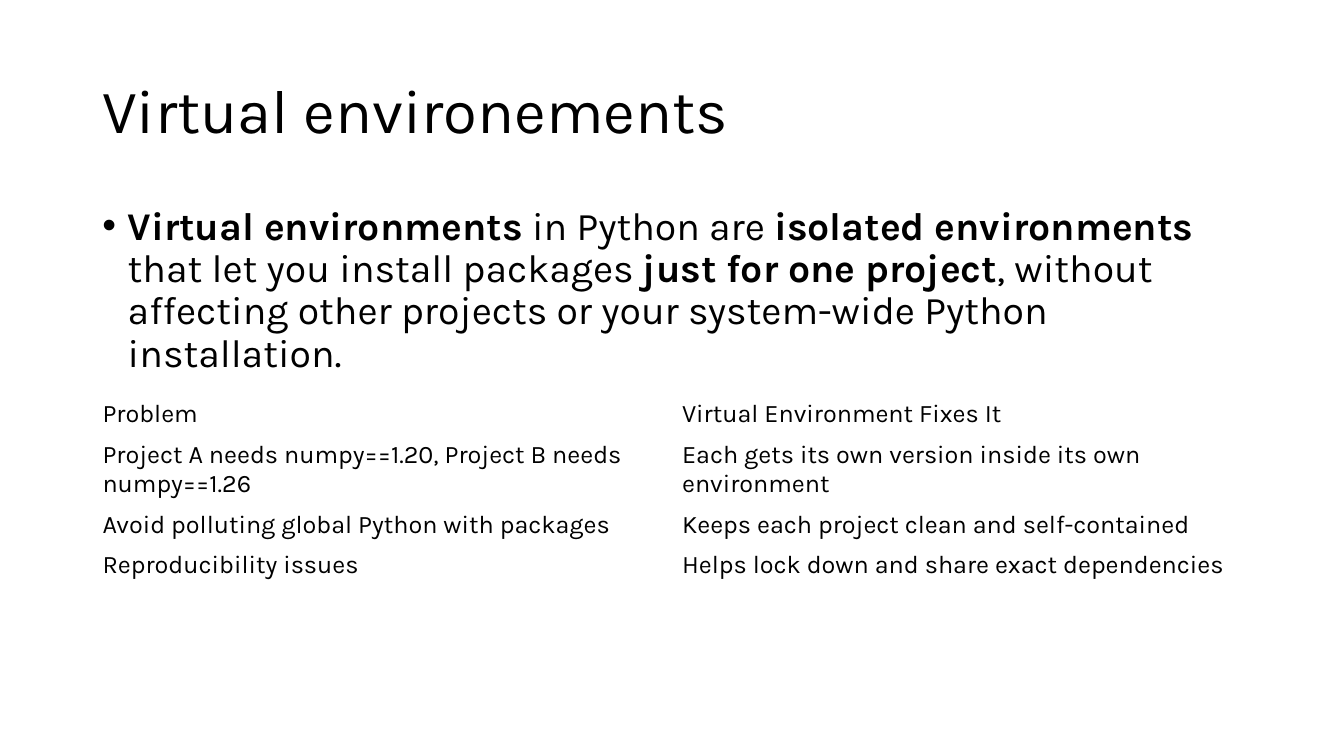
from pptx import Presentation
from pptx.dml.color import RGBColor
from pptx.enum.text import MSO_ANCHOR
from pptx.oxml import parse_xml
from pptx.oxml.ns import nsdecls
from pptx.util import Cm, Pt

TITLE = "Virtual environements"
DEFINITION = [
    ("Virtual environments", True),
    (" in Python are ", False),
    ("isolated environments", True),
    (" that let you install packages ", False),
    ("just for one project", True),
    (", without affecting other projects or your system-wide Python installation.", False),
]
FIXES = [
    ("Problem", "Virtual Environment Fixes It"),
    ("Project A needs numpy==1.20, Project B needs numpy==1.26",
     "Each gets its own version inside its own environment"),
    ("Avoid polluting global Python with packages",
     "Keeps each project clean and self-contained"),
    ("Reproducibility issues", "Helps lock down and share exact dependencies"),
]
ROW_HEIGHTS = [1, 1.76, 1, 1]

THEME = {
    "font": "Karla",
    "ink": RGBColor(0, 0, 0),
    "title": Pt(44),
    "body": Pt(28),
    "table": Pt(18),
}
LEFT, WIDTH = Cm(2.33), Cm(29.21)
INDENT = Cm(0.64)


def style(r, size, bold=False):
    r.font.name = THEME["font"]
    r.font.size = THEME[size]
    r.font.color.rgb = THEME["ink"]
    r.font.bold = bold


def add_text(slide, top, height, runs, size, anchor):
    tf = slide.shapes.add_textbox(LEFT, top, WIDTH, height).text_frame
    tf.word_wrap = True
    tf.vertical_anchor = anchor
    p = tf.paragraphs[0]
    p.line_spacing = 0.9
    for text, bold in runs:
        r = p.add_run()
        r.text = text
        style(r, size, bold)
    return p


def add_bullet(p):
    p.space_before = Pt(10)
    pPr = p._p.get_or_add_pPr()
    pPr.set("marL", str(INDENT))
    pPr.set("indent", str(-INDENT))
    pPr.append(parse_xml(f'<a:buFont {nsdecls("a")} typeface="Arial"/>'))
    pPr.append(parse_xml(f'<a:buChar {nsdecls("a")} char="•"/>'))


def add_fixes(slide, top):
    height = Cm(sum(ROW_HEIGHTS))
    table = slide.shapes.add_table(len(FIXES), len(FIXES[0]), LEFT, top, WIDTH, height).table
    table.first_row = False
    table.horz_banding = False
    for row, row_height, texts in zip(table.rows, ROW_HEIGHTS, FIXES):
        row.height = Cm(row_height)
        for cell, text in zip(row.cells, texts):
            cell.fill.background()
            cell.vertical_anchor = MSO_ANCHOR.MIDDLE
            cell.text_frame.text = text
            style(cell.text_frame.paragraphs[0].runs[0], "table")


def main():
    prs = Presentation()
    prs.slide_width, prs.slide_height = Cm(33.87), Cm(19.05)
    s = prs.slides.add_slide(prs.slide_layouts[6])
    add_text(s, Cm(1.01), Cm(3.68), [(TITLE, False)], "title", MSO_ANCHOR.MIDDLE)
    add_bullet(add_text(s, Cm(5.07), Cm(12.09), DEFINITION, "body", MSO_ANCHOR.TOP))
    add_fixes(s, Cm(9.93))
    prs.save("out.pptx")


if __name__ == "__main__":
    main()
